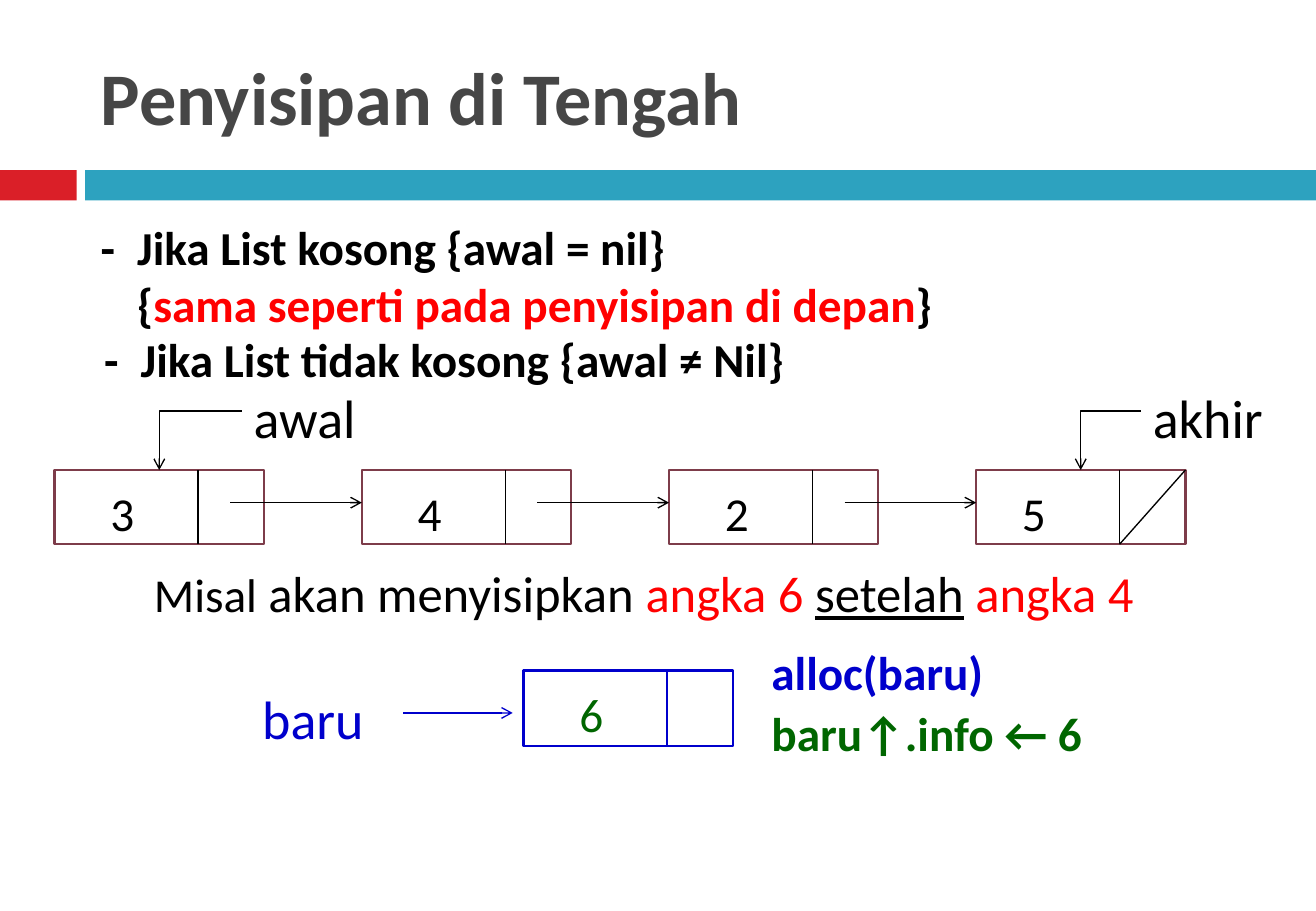
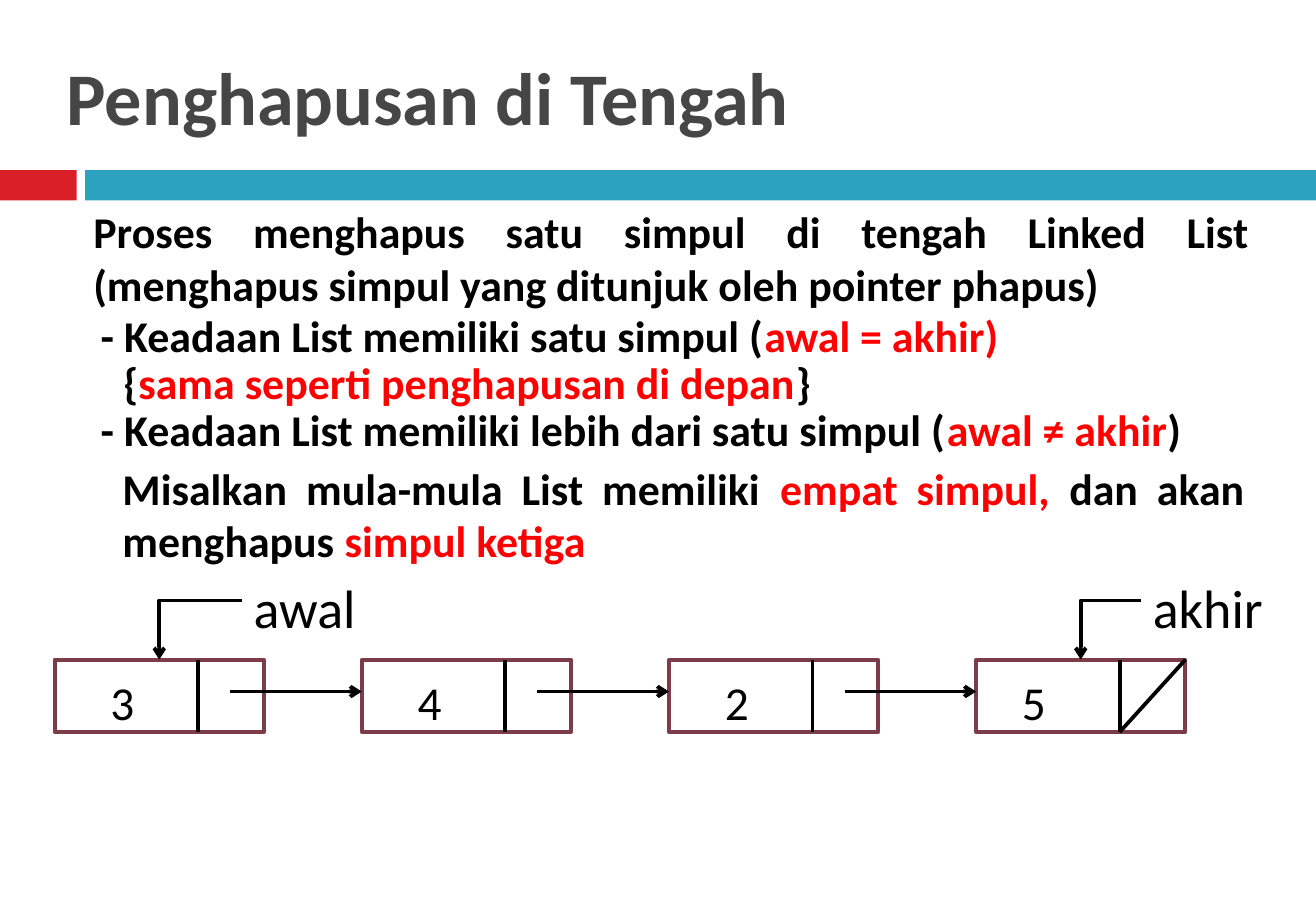
from dataclasses import dataclass

from lxml.etree import SubElement
from pptx import Presentation
from pptx.dml.color import RGBColor
from pptx.enum.shapes import MSO_CONNECTOR, MSO_SHAPE
from pptx.enum.text import MSO_ANCHOR, PP_ALIGN
from pptx.oxml.ns import qn
from pptx.util import Pt


@dataclass(frozen=True)
class Theme:
    font: str = "Calibri"
    heading: str = "464646"
    ink: str = "000000"
    red: str = "FF0000"
    blue: str = "0000CC"
    green: str = "006600"
    paper: str = "FFFFFF"
    node_edge: str = "7D3C4A"
    band_accent: str = "DA1F28"
    band_main: str = "2DA2BF"
    title_size: int = 44
    label_size: int = 32
    example_size: int = 30
    insert_size: int = 28
    delete_size: int = 26
    thin: float = 0.79
    edge: float = 1.5
    thick: float = 2.25


THEME = Theme()
SLIDE_W, SLIDE_H = 779.76, 540
NODE_W, NODE_PITCH, NODE_LEFT = 124, 182, 32.4
DIVIDER, LINK_START = 85, 104
VALUE_SHIFT, LAST_VALUE_SHIFT = 26, 20

# Content: each text is (paragraphs, left, top, width, height, format);
# a paragraph is a list of runs, a run is (words, changes to the format).
RED = dict(color=THEME.red)
INSERT = dict(size=THEME.insert_size, bold=True)
DELETE = dict(size=THEME.delete_size, bold=True)
BULLETED = dict(INSERT, hang=21.6)
JUSTIFIED = dict(DELETE, align=PP_ALIGN.JUSTIFY)

LIST_VALUES = ["3", "4", "2", "5"]
POINTERS = [("awal", 0, 143.3), ("akhir", 3, 676)]  # name, node, label left

SLIDES = [
    dict(
        title="Penyisipan di Tengah", title_left=52.6,
        list_top=278.6, node_height=44, edge=THEME.edge, stroke=THEME.thin,
        texts=[
            ([[("-\tJika List kosong {awal = nil}", {})],
              [("{", {}), ("sama seperti pada penyisipan di depan", RED), ("}", {})]],
             52.6, 126, 695.5, 78, BULLETED),
            ([[("-\tJika List tidak kosong {awal ≠ Nil}", {})]],
             54.7, 192.2, 695.5, 42, BULLETED),
            ([[("Misal", dict(size=THEME.insert_size)), (" akan menyisipkan ", {}),
               ("angka 6 ", RED), ("setelah", dict(underline=True)), (" angka 4", RED)]],
             84.2, 329.8, 695.5, 48, dict(size=THEME.example_size)),
            ([[("alloc(baru)", {})]],
             450, 378, 264, 54, dict(INSERT, color=THEME.blue)),
            ([[("baru↑.info ← 6", {})]],
             450, 414, 264, 54, dict(INSERT, color=THEME.green)),
        ],
        new_node=dict(name="baru", value="6", left=310.3, top=397.6, height=44.8),
    ),
    dict(
        title="Penghapusan di Tengah", title_left=32.4,
        list_top=391, node_height=43, edge=THEME.thick, stroke=THEME.thick,
        texts=[
            ([[("Proses menghapus satu simpul di tengah Linked List "
                "(menghapus simpul yang ditunjuk oleh pointer phapus)", {})]],
             48.2, 118, 699.8, 78, JUSTIFIED),
            ([[("- Keadaan List memiliki satu simpul (", {}), ("awal = akhir)", RED)]],
             52.6, 179.3, 695.5, 38, DELETE),
            ([[("{", {}), ("sama seperti penghapusan di depan", RED), ("}", {})]],
             66, 207.4, 684, 38, DELETE),
            ([[("- Keadaan List memiliki lebih dari satu simpul (", {}),
               ("awal ≠ akhir", RED), (")", {})]],
             52.6, 235.4, 695.5, 38, DELETE),
            ([[("Misalkan mula-mula List memiliki ", {}), ("empat simpul, ", RED),
               ("dan akan menghapus ", {}), ("simpul ketiga", RED)]],
             65.5, 270, 679, 72, JUSTIFIED),
        ],
    ),
]


def rgb(color):
    return RGBColor.from_string(color)


def add_text(shapes, content, left, top, width, height, *, size, color=THEME.ink,
             bold=False, underline=False, align=PP_ALIGN.LEFT, anchor=MSO_ANCHOR.TOP, hang=0):
    """Add a text box; content is a plain string or a list of paragraphs of runs."""
    frame = shapes.add_textbox(Pt(left), Pt(top), Pt(width), Pt(height)).text_frame
    frame.word_wrap = True
    frame.vertical_anchor = anchor
    paragraphs = [[(content, {})]] if isinstance(content, str) else content
    for index, runs in enumerate(paragraphs):
        paragraph = frame.add_paragraph() if index else frame.paragraphs[0]
        paragraph.alignment = align
        if hang:
            dashed = runs[0][0].startswith("-")
            properties = paragraph._p.get_or_add_pPr()
            properties.set("marL", str(Pt(hang)))
            properties.set("indent", str(-Pt(hang) if dashed else 0))
        for words, changes in runs:
            look = dict(size=size, color=color, bold=bold, underline=underline) | changes
            run = paragraph.add_run()
            run.text = words
            run.font.name = THEME.font
            run.font.size = Pt(look["size"])
            run.font.bold = look["bold"]
            run.font.underline = look["underline"]
            run.font.color.rgb = rgb(look["color"])


def add_box(shapes, left, top, width, height, fill, edge=None, weight=0):
    box = shapes.add_shape(MSO_SHAPE.RECTANGLE, Pt(left), Pt(top), Pt(width), Pt(height))
    box.shadow.inherit = False
    box.fill.solid()
    box.fill.fore_color.rgb = rgb(fill)
    if edge:
        box.line.color.rgb = rgb(edge)
        box.line.width = Pt(weight)
    else:
        box.line.fill.background()


def add_line(shapes, start, end, weight, color=THEME.ink, arrow=False, bent=False):
    kind = MSO_CONNECTOR.ELBOW if bent else MSO_CONNECTOR.STRAIGHT
    line = shapes.add_connector(kind, *(Pt(value) for value in (*start, *end)))
    line.line.color.rgb = rgb(color)
    line.line.width = Pt(weight)
    properties = line._element.spPr
    if bent:  # a single corner
        properties.find(qn("a:prstGeom")).set("prst", "bentConnector2")
    if arrow:
        SubElement(properties.find(qn("a:ln")), qn("a:tailEnd"), type="arrow")
    SubElement(properties, qn("a:effectLst"))


def add_node(shapes, value, left, top, height, edge, stroke, shift=VALUE_SHIFT,
             edge_color=THEME.node_edge, line_color=THEME.ink, value_color=THEME.ink):
    add_box(shapes, left, top, NODE_W, height, THEME.paper, edge_color, edge)
    divider = left + DIVIDER
    add_line(shapes, (divider, top), (divider, top + height), stroke, line_color)
    add_text(shapes, value, left + shift, top + 4.8, 45, 34,
             size=THEME.insert_size, color=value_color)


def add_linked_list(shapes, top, height, edge, stroke):
    lefts = [NODE_LEFT + NODE_PITCH * index for index in range(len(LIST_VALUES))]
    for value, left in zip(LIST_VALUES, lefts):
        shift = LAST_VALUE_SHIFT if left == lefts[-1] else VALUE_SHIFT
        add_node(shapes, value, left, top, height, edge, stroke, shift)
    # Links between neighbours, and the slash that ends the list
    link_y = top + 0.44 * height
    for left, following in zip(lefts, lefts[1:]):
        add_line(shapes, (left + LINK_START, link_y), (following, link_y), stroke, arrow=True)
    add_line(shapes, (lefts[-1] + NODE_W, top), (lefts[-1] + DIVIDER, top + height), stroke)
    # Named pointers above the first and last node
    for name, node, label_left in POINTERS:
        add_text(shapes, name, label_left, top - 54, 91, 37, size=THEME.label_size)
        add_line(shapes, (label_left, top - 35), (lefts[node] + NODE_W / 2, top),
                 stroke, arrow=True, bent=True)


def add_new_node(shapes, name, value, left, top, height):
    add_node(shapes, value, left, top, height, THEME.edge, THEME.thin,
             edge_color=THEME.blue, line_color=THEME.blue, value_color=THEME.green)
    add_text(shapes, name, 148.3, top + 5, 91, 38, size=THEME.label_size, color=THEME.blue)
    arrow_y = top + 25
    add_line(shapes, (239, arrow_y), (303.8, arrow_y), THEME.thin, THEME.blue, arrow=True)


def add_frame(shapes, title, left):
    """Bands and title, the same on every slide."""
    add_box(shapes, 0, 100.8, 45.4, 18, THEME.band_accent)
    add_box(shapes, 50.4, 100.8, SLIDE_W - 50.4, 18, THEME.band_main)
    add_text(shapes, title, left, 18, 695.5, 77.8, size=THEME.title_size,
             color=THEME.heading, bold=True, anchor=MSO_ANCHOR.MIDDLE)


deck = Presentation()
deck.slide_width, deck.slide_height = Pt(SLIDE_W), Pt(SLIDE_H)
for page in SLIDES:
    shapes = deck.slides.add_slide(deck.slide_layouts[6]).shapes
    add_frame(shapes, page["title"], page["title_left"])
    if "new_node" in page:
        add_new_node(shapes.add_group_shape().shapes, **page["new_node"])
    add_linked_list(shapes.add_group_shape().shapes, page["list_top"],
                    page["node_height"], page["edge"], page["stroke"])
    for content, left, top, width, height, look in page["texts"]:
        add_text(shapes, content, left, top, width, height, **look)
deck.save("out.pptx")
